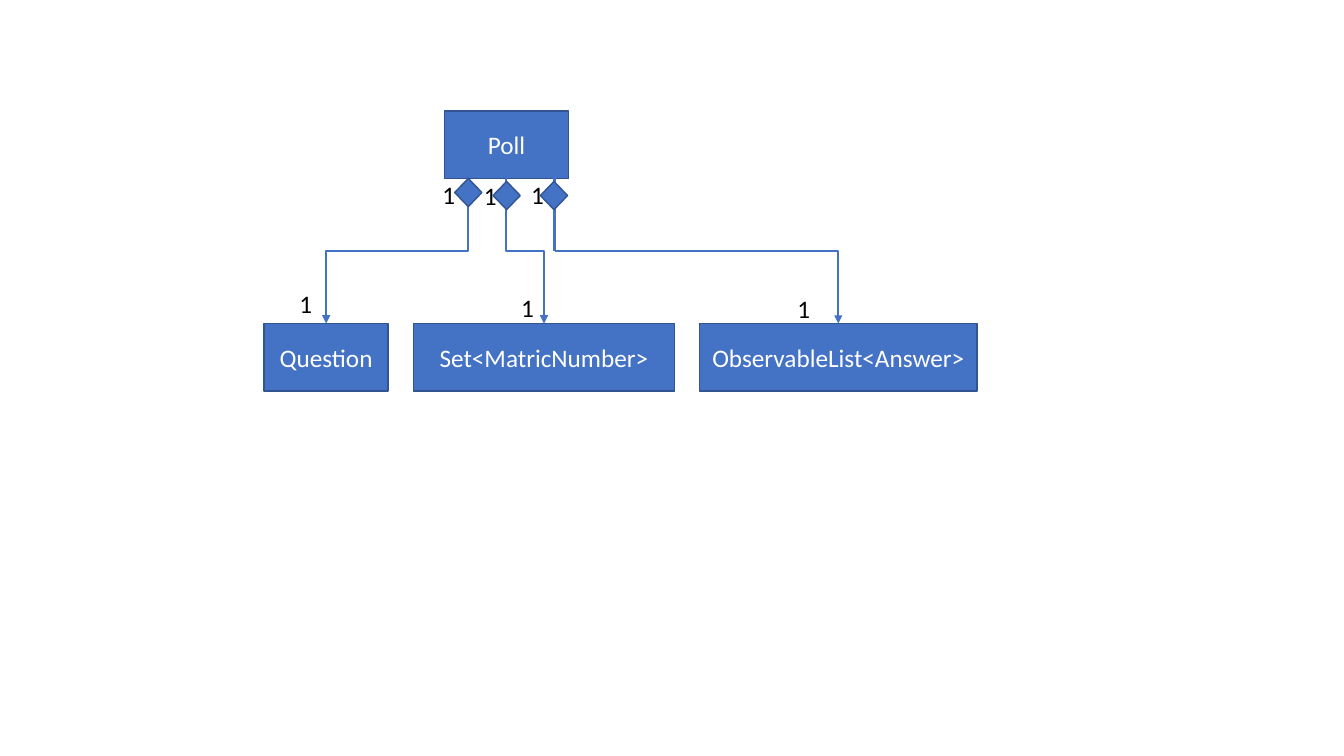
from dataclasses import dataclass

from lxml import etree
from pptx import Presentation
from pptx import util as u
from pptx.dml import color
from pptx.enum import shapes, text
from pptx.oxml import ns


@dataclass(frozen=True)
class Theme:
    fill: color.RGBColor = color.RGBColor.from_string("4472C4")
    outline: color.RGBColor = color.RGBColor.from_string("325491")
    light: color.RGBColor = color.RGBColor.from_string("FFFFFF")
    dark: color.RGBColor = color.RGBColor.from_string("000000")
    font: str = "Calibri"
    size: u.Pt = u.Pt(18)
    outline_width: u.Pt = u.Pt(1)
    connector_width: u.Pt = u.Pt(1.5)


THEME = Theme()
BOX_HEIGHT = 0.67
GAP = 0.25
CHILDREN = [("Question", 1.23), ("Set<MatricNumber>", 2.59), ("ObservableList<Answer>", 2.75)]


def set_values(target, values):
    for name, value in values.items():
        setattr(target, name, value)


def write(shape, content, font_color, alignment=None):
    paragraph = shape.text_frame.paragraphs[0]
    paragraph.alignment = alignment
    run = paragraph.add_run()
    run.text = content
    set_values(run.font, {"name": THEME.font, "size": THEME.size})
    run.font.color.rgb = font_color


def add_block(slide, kind, left, top, width, height):
    shape = slide.shapes.add_shape(kind, *map(u.Inches, (left, top, width, height)))
    shape.shadow.inherit = False
    shape.fill.solid()
    shape.fill.fore_color.rgb = THEME.fill
    shape.line.color.rgb = THEME.outline
    shape.line.width = THEME.outline_width
    return shape


def add_class(slide, name, left, top, width):
    shape = add_block(slide, shapes.MSO_SHAPE.RECTANGLE, left, top, width, BOX_HEIGHT)
    set_values(shape.text_frame, {"word_wrap": True, "vertical_anchor": text.MSO_ANCHOR.MIDDLE})
    write(shape, name, THEME.light, text.PP_ALIGN.CENTER)


def add_multiplicity(slide, left, top):
    label = slide.shapes.add_textbox(*map(u.Inches, (left, top, 0.43, 0.4)))
    set_values(label.text_frame, {"word_wrap": True, "auto_size": text.MSO_AUTO_SIZE.SHAPE_TO_FIT_TEXT})
    write(label, "1", THEME.dark)


def add_line(slide, kind, start, end, arrow=True):
    connector = slide.shapes.add_connector(kind, *map(u.Inches, (*start, *end)))
    connector.line.color.rgb = THEME.fill
    connector.line.width = THEME.connector_width
    properties = connector.element.spPr
    if arrow:
        line = properties.find(ns.qn("a:ln"))
        etree.SubElement(line, ns.qn("a:tailEnd"), type="triangle")
    etree.SubElement(properties, ns.qn("a:effectLst"))
    return connector


def add_vertical_elbow(slide, start, end):
    """Leave downwards, cross at half height, and arrive downwards."""
    center_x, center_y = (start[0] + end[0]) / 2, (start[1] + end[1]) / 2
    side = 1 if end[0] > start[0] else -1
    # The unrotated frame has its width and height exchanged
    run, rise = side * (end[1] - start[1]) / 2, abs(end[0] - start[0]) / 2
    connector = add_line(slide, shapes.MSO_CONNECTOR.ELBOW,
                         (center_x + run, center_y - rise), (center_x - run, center_y + rise))
    degrees = 270 if side > 0 else 90
    connector.element.spPr.find(ns.qn("a:xfrm")).set("rot", str(degrees * 60000))


def add_corner(slide, start, end):
    """Leave sideways and arrive downwards."""
    connector = add_line(slide, shapes.MSO_CONNECTOR.ELBOW, start, end)
    connector.element.spPr.find(ns.qn("a:prstGeom")).set("prst", "bentConnector2")


def add_class_diagram(slide, left, top):
    # Class boxes
    poll_left, poll_bottom = left + 1.79, top + BOX_HEIGHT
    child_top = top + 2.11
    add_class(slide, "Poll", poll_left, top, 1.23)
    centers, child_left = [], left
    for name, width in CHILDREN:
        add_class(slide, name, child_left, child_top, width)
        centers.append(child_left + width / 2)
        child_left += width + GAP

    # Compositions from Poll to its parts
    question, numbers, answers = [(center, child_top) for center in centers]
    add_vertical_elbow(slide, (poll_left + 0.23, poll_bottom), question)
    add_vertical_elbow(slide, (poll_left + 0.61, poll_bottom), numbers)
    bend = (poll_left + 1.09, (poll_bottom + child_top) / 2)
    add_corner(slide, bend, answers)
    add_line(slide, shapes.MSO_CONNECTOR.STRAIGHT, bend, (bend[0], poll_bottom), arrow=False)

    # Composition diamonds
    for offset_x, offset_y in [(0.1, 0), (0.48, 0.03), (0.95, 0.03)]:
        add_block(slide, shapes.MSO_SHAPE.DIAMOND,
                  poll_left + offset_x, poll_bottom + offset_y, 0.27, 0.28)

    # Multiplicities at Poll, then at the parts
    for offset_x, offset_y in [(1.67, 0.63), (2.08, 0.64), (2.55, 0.63),
                               (0.25, 1.71), (2.45, 1.75), (5.19, 1.76)]:
        add_multiplicity(slide, left + offset_x, top + offset_y)


def main():
    presentation = Presentation()
    set_values(presentation, {"slide_width": u.Inches(13.33), "slide_height": u.Inches(7.5)})
    slide = presentation.slides.add_slide(presentation.slide_layouts[6])
    add_class_diagram(slide, 2.62, 1.1)
    presentation.save("out.pptx")


if __name__ == "__main__":
    main()
